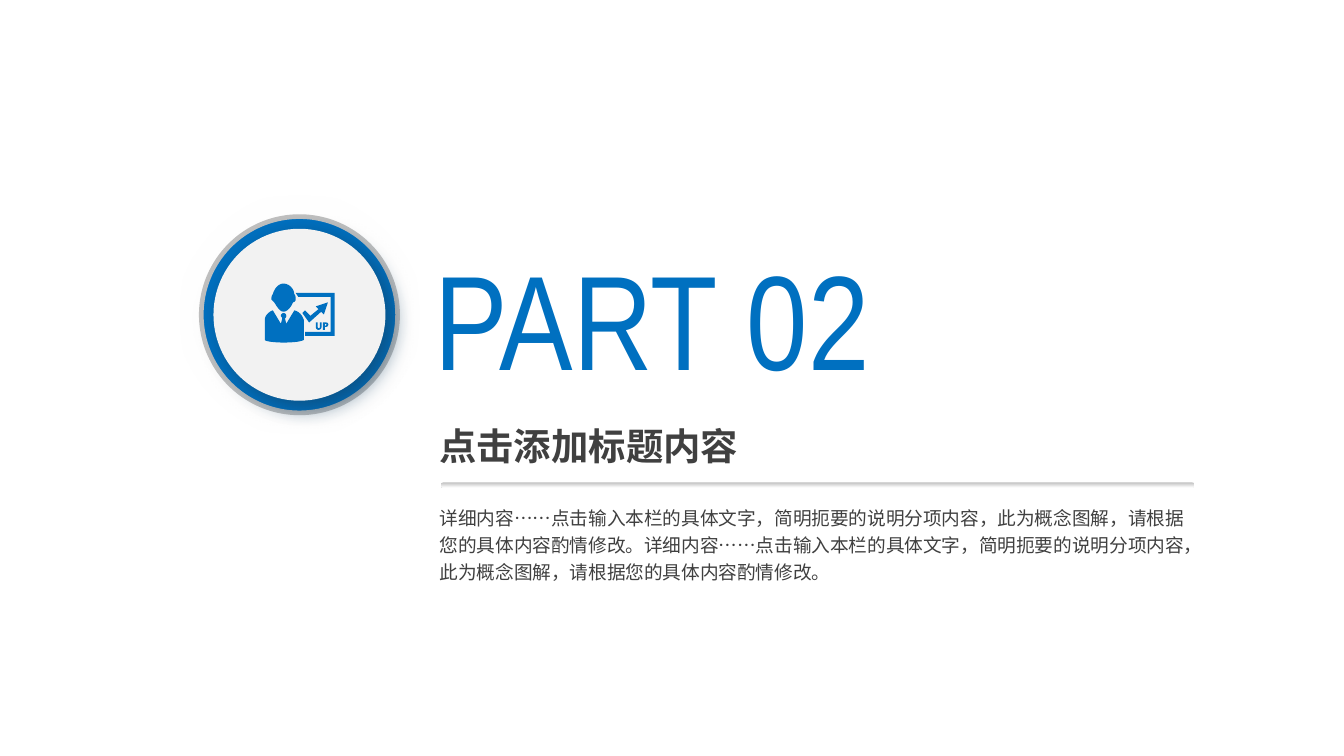
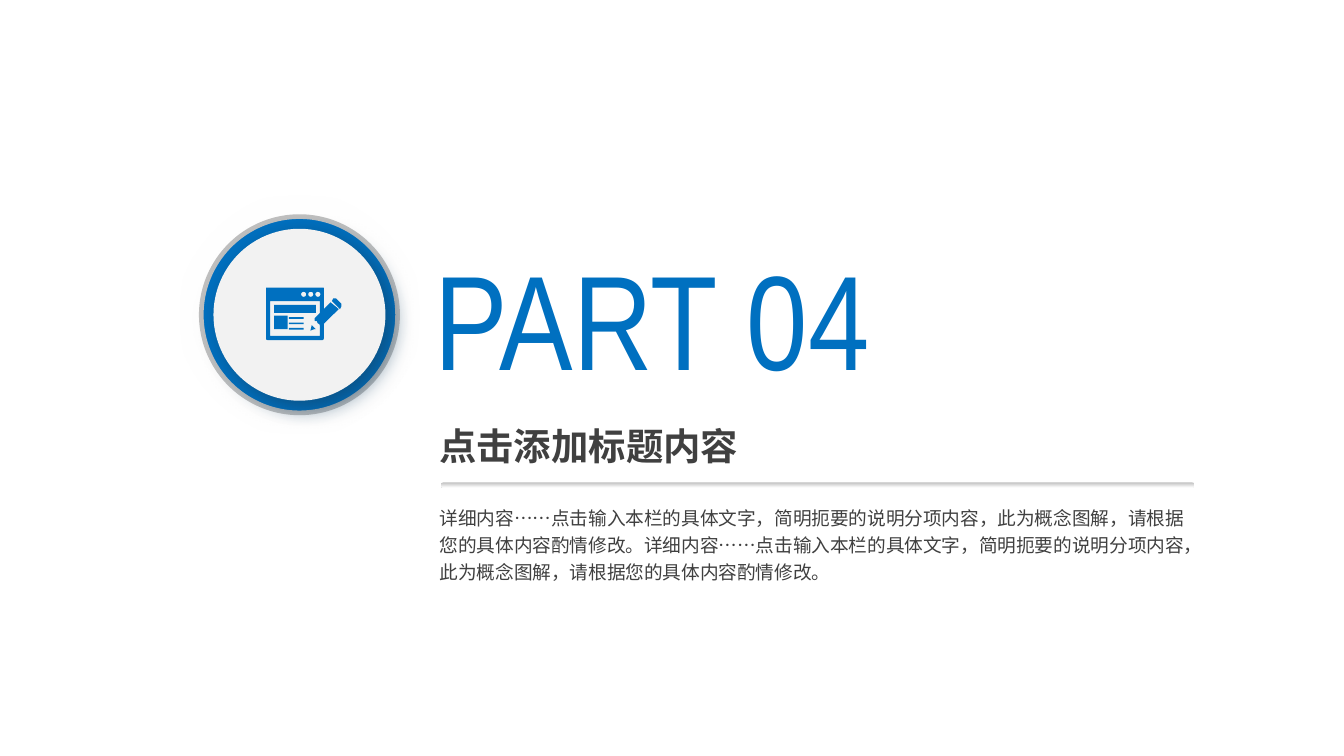
import math
from dataclasses import dataclass

from lxml import etree
from pptx import Presentation
from pptx import util as u
from pptx.dml.color import RGBColor
from pptx.enum import shapes, text
from pptx.oxml import ns


@dataclass(frozen=True)
class Theme:
    blue: str = "0070C0"
    ink: str = "404040"
    disc: str = "F2F2F2"
    grey: str = "BFBFBF"
    white: str = "FFFFFF"
    shade: str = "134163"
    number_font: str = "Arial Narrow"
    heading_font: str = "Quicksand"
    body_font: str = "Noto Sans CJK SC"
    number_size: int = 72
    heading_size: int = 20
    body_size: int = 10


SENTENCE = "详细内容……点击输入本栏的具体文字，简明扼要的说明分项内容，此为概念图解，请根据您的具体内容酌情修改。"
HEADING = "点击添加标题内容"
ICON_UNIT = u.Cm(2.54) / 100
CENTER_X, CENTER_Y = 5.66, 5.95


def flatten(outline, steps=6):
    points = []
    for step in outline:
        if len(step) == 2:
            points.append(step)
            continue
        start, controls = points[-1], (step[:2], step[2:4], step[4:])
        for index in range(1, steps + 1):
            t = index / steps
            weights = ((1 - t) ** 3, 3 * t * (1 - t) ** 2, 3 * t * t * (1 - t), t ** 3)
            points.append(tuple(
                sum(weight * point[axis] for weight, point in zip(weights, (start, *controls)))
                for axis in (0, 1)))
    return points


def box(left, top, width, height):
    right, bottom = left + width, top + height
    return [(left, top), (right, top), (right, bottom), (left, bottom)]


def dot(x, y, radius, count=20):
    angles = [2 * math.pi * index / count for index in range(count)]
    return [(x + radius * math.cos(a), y + radius * math.sin(a)) for a in angles]


class Deck:
    def __init__(self, theme):
        self.theme = theme
        self.presentation = Presentation()
        self.presentation.slide_width = u.Cm(25.4)
        self.presentation.slide_height = u.Cm(14.29)
        self.slide = None

    def add_slide(self):
        self.slide = self.presentation.slides.add_slide(self.presentation.slide_layouts[6])

    def group(self):
        return self.slide.shapes.add_group_shape().shapes

    def paint(self, shape, *colors):
        shape.shadow.inherit = False
        shape.line.fill.background()
        if len(colors) == 1:
            shape.fill.solid()
            shape.fill.fore_color.rgb = RGBColor.from_string(colors[0])
            return
        shape.fill.gradient()
        shape.fill.gradient_angle = 270
        for position, (stop, color) in enumerate(zip(shape.fill.gradient_stops, colors)):
            stop.position = position
            stop.color.rgb = RGBColor.from_string(color)

    def shape(self, parent, kind, bounds, *colors):
        shape = parent.add_shape(kind, *map(u.Cm, bounds))
        self.paint(shape, *colors)
        return shape

    def disc(self, parent, diameter, *colors):
        bounds = (CENTER_X - diameter / 2, CENTER_Y - diameter / 2, diameter, diameter)
        return self.shape(parent, shapes.MSO_SHAPE.OVAL, bounds, *colors)

    def effect(self, shape, name, **attributes):
        effects = shape.element.spPr.find(ns.qn("a:effectLst"))
        return etree.SubElement(effects, ns.qn(name), attributes)

    def emblem(self):
        theme, parent = self.theme, self.group()
        halo = self.disc(parent, 4.98, theme.white, theme.grey)
        self.effect(halo, "a:softEdge", rad=str(u.Pt(25)))
        ring = self.disc(parent, 3.71, theme.blue)
        ring.line.color.rgb = RGBColor.from_string(theme.grey)
        ring.line.width = u.Pt(2.5)
        face = self.disc(parent, 3.25, theme.disc)
        shadow = self.effect(face, "a:outerShdw", blurRad=str(u.Pt(12)), dist=str(u.Pt(5)),
                             dir=str(45 * 60000), algn="tl", rotWithShape="0")
        color = etree.SubElement(shadow, ns.qn("a:srgbClr"), val=theme.shade)
        etree.SubElement(color, ns.qn("a:alpha"), val="64000")

    def rule(self):
        rule = self.shape(self.slide.shapes, shapes.MSO_SHAPE.ROUNDED_RECTANGLE,
                          (8.33, 9.12, 14.25, 0.1), self.theme.grey, self.theme.white)
        rule.adjustments[0] = 0.5

    def text(self, bounds, words, font, size, color, bold=False, spacing=None, tight=True):
        frame = self.slide.shapes.add_textbox(*map(u.Cm, bounds)).text_frame
        frame.word_wrap = True
        frame.auto_size = text.MSO_AUTO_SIZE.SHAPE_TO_FIT_TEXT
        if tight:
            frame.margin_left = frame.margin_right = u.Cm(0.18)
            frame.margin_top = frame.margin_bottom = u.Cm(0.1)
        paragraph = frame.paragraphs[0]
        if spacing:
            paragraph.line_spacing = spacing
        run = paragraph.add_run()
        run.text = words
        run.font.name = font
        run.font.size = u.Pt(size)
        run.font.bold = bold
        run.font.color.rgb = RGBColor.from_string(color)
        properties = run.font._element
        properties.set("lang", "zh-CN")
        east_asian = etree.Element(ns.qn("a:ea"), typeface=self.theme.body_font)
        properties.find(ns.qn("a:latin")).addnext(east_asian)

    def icon(self, parts):
        parent = self.group()
        for outlines in parts:
            builder = None
            for outline in outlines:
                points = [(round(x * ICON_UNIT), round(y * ICON_UNIT)) for x, y in flatten(outline)]
                if builder is None:
                    builder = parent.build_freeform(*points[0])
                else:
                    builder.move_to(*points[0])
                builder.add_line_segments(points[1:], close=True)
            self.paint(builder.convert_to_shape(), self.theme.blue)

    def bar(self, parent, bounds):
        left, top, width, height = (value * ICON_UNIT / u.Cm(1) for value in bounds)
        self.shape(parent, shapes.MSO_SHAPE.RECTANGLE, (left, top, width, height), self.theme.blue)

    def section(self, number, icon, bars):
        theme = self.theme
        self.add_slide()
        self.emblem()
        self.rule()
        self.text((8.03, 4.37, 10.01, 3.28), f"PART {number}",
                  theme.number_font, theme.number_size, theme.blue)
        self.text((8.05, 7.87, 6.91, 1.12), HEADING, theme.heading_font,
                  theme.heading_size, theme.ink, bold=True, tight=False)
        self.text((8.13, 9.4, 14.45, 1.73), SENTENCE * 2, theme.body_font,
                  theme.body_size, theme.ink, spacing=1.2)
        self.icon(icon)
        if bars:
            parent = self.group()
            for bounds in bars:
                self.bar(parent, bounds)


BOARD = [(220, 218), (222, 221), (246, 221), (246, 247), (227, 247), (227, 250),
         (249, 250), (249, 218)]
HEAD = [(204, 225), (206, 228, 208, 232, 211, 232), (214, 232, 217, 228, 218, 225),
        (219, 225, 220, 224, 220, 223), (220, 221, 220, 220, 219, 219),
        (219, 215, 215, 211, 211, 211), (207, 211, 204, 215, 203, 219),
        (202, 220, 202, 221, 202, 223), (203, 224, 204, 225, 204, 225)]
ARROW = [(227, 231), (225, 233), (230, 240), (239, 232), (241, 234), (244, 225),
         (235, 228), (237, 230), (231, 235)]
SUIT = [(219, 231), (213, 241), (212, 237), (213, 236, 213, 236, 213, 235),
        (213, 234, 212, 233, 211, 233), (210, 233, 209, 234, 209, 235),
        (209, 236, 210, 236, 210, 237), (209, 241), (203, 231),
        (200, 232, 197, 235, 197, 238), (197, 253), (197, 254, 204, 255, 211, 255),
        (219, 255, 225, 254, 226, 253), (226, 238), (225, 235, 223, 232, 219, 231)]
LETTER_U = [(235, 240), (235, 243), (235, 245, 236, 245.5, 237, 245.5),
            (238, 245.5, 239.3, 245, 239.3, 243), (239.3, 240), (238, 240), (238, 243),
            (238, 244, 238, 244.2, 237.2, 244.2), (236.4, 244.2, 236.4, 244, 236.4, 243),
            (236.4, 240)]
LETTER_P = [(240.3, 240), (240.3, 245.5), (241.7, 245.5), (241.7, 243.4),
            (243, 243.4, 244.3, 243, 244.3, 241.6), (244.3, 240.3, 243.5, 240, 242, 240)]
LETTER_P_HOLE = [(241.7, 241), (242.6, 241), (243, 241.7), (242.5, 242.4), (241.7, 242.4)]
PRESENTER = [[BOARD], [HEAD], [ARROW], [SUIT], [LETTER_U], [LETTER_P, LETTER_P_HOLE]]

FRAME = [(240, 214), (199, 214), (198, 214, 198, 214, 198, 215), (198, 251),
         (198, 252, 198, 253, 199, 253), (240, 253), (241, 253, 241, 252, 241, 251),
         (241, 215), (241, 214, 241, 214, 240, 214)]
WINDOW = [FRAME, box(201, 224, 37, 26)] + [dot(226 + 5.3 * index, 219, 1.9) for index in range(3)]
PENCIL_TIP = [(232, 242), (231, 246), (234, 245), (235, 245)]
PENCIL_END = [(253, 230), (254, 228), (254, 228, 254, 227, 254, 226), (250, 222),
              (250, 222, 249, 222, 248, 222), (247, 224)]
PENCIL_BODY = [(246, 225), (234, 237), (234, 237, 234, 238, 234, 238),
               (234, 239, 235, 239, 236, 239), (236, 241, 237, 241, 238, 241),
               (237, 241, 238, 242, 238, 242), (239, 243, 239, 243, 240, 242), (252, 230)]
EDITOR = [[WINDOW[0], *WINDOW[1:]], [PENCIL_TIP], [PENCIL_END], [PENCIL_BODY]]
EDITOR_BARS = [(204, 227, 31, 6), (204, 235, 10, 10)] + [
    (215, 236 + 4 * row, 11, 1.3) for row in range(3)]


def main():
    deck = Deck(Theme())
    deck.section("02", PRESENTER, [])
    deck.section("04", EDITOR, EDITOR_BARS)
    deck.presentation.save("out.pptx")


if __name__ == "__main__":
    main()
